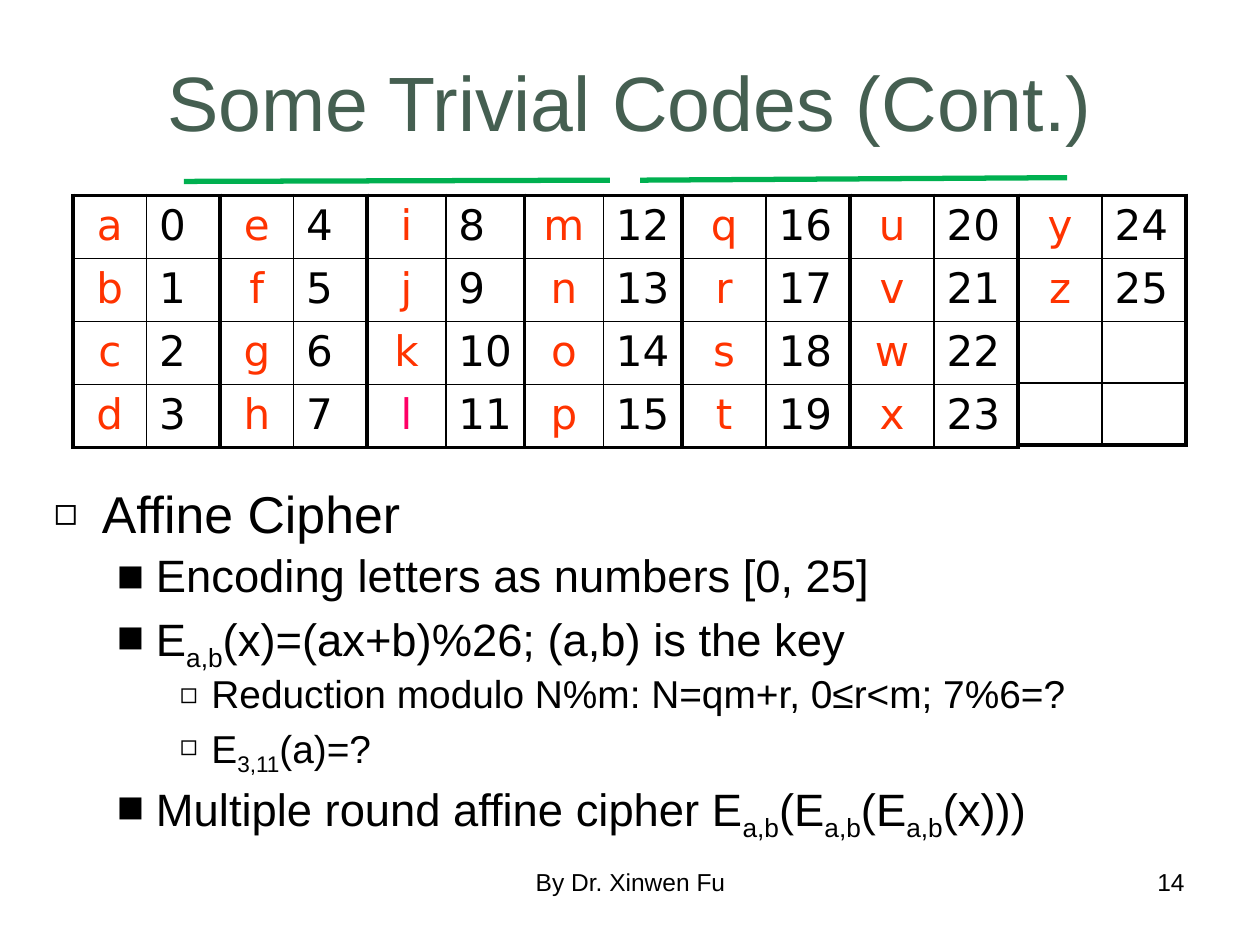
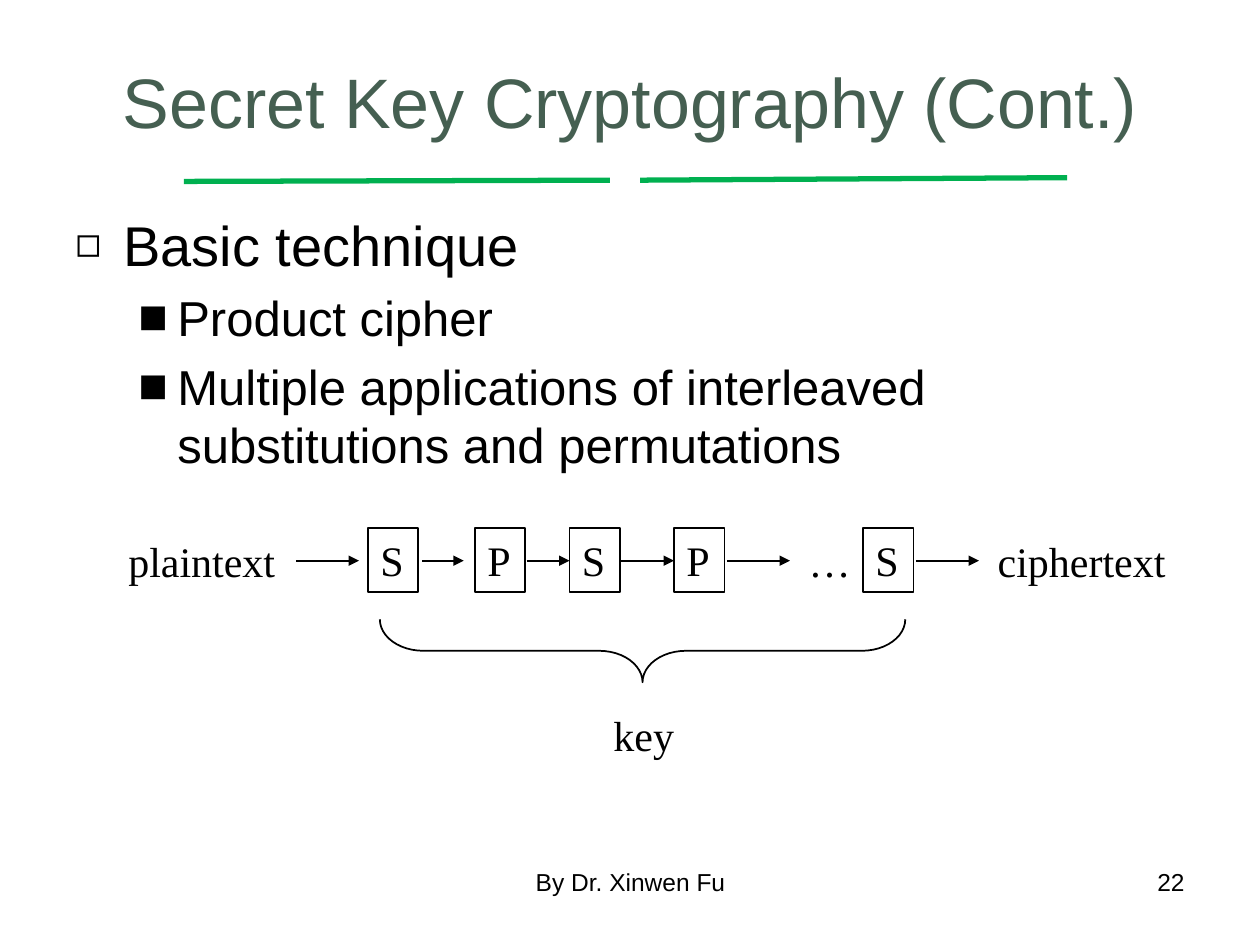
from lxml import etree
from pptx import Presentation
from pptx.dml.color import RGBColor
from pptx.enum.shapes import MSO_CONNECTOR, MSO_SHAPE
from pptx.enum.text import MSO_ANCHOR, PP_ALIGN
from pptx.oxml.ns import qn
from pptx.util import Inches, Pt

LEFT, CENTER, RIGHT = PP_ALIGN.LEFT, PP_ALIGN.CENTER, PP_ALIGN.RIGHT
TOP, MIDDLE = MSO_ANCHOR.TOP, MSO_ANCHOR.MIDDLE
STRAIGHT = MSO_CONNECTOR.STRAIGHT
RECTANGLE, BRACE = MSO_SHAPE.RECTANGLE, MSO_SHAPE.LEFT_BRACE

WIDTH, HEIGHT = 10, 7.5
BLACK, GREEN, SLATE, ORANGE, PINK = "000000", "00B050", "455F51", "FF3300", "FF0066"
SANS, SERIF, CODE = "Arial", "Times New Roman", "DejaVu Sans"

AUTHOR = "By Dr. Xinwen Fu"
TITLE_AREA = (0.5, 0.21, 9, 1.18)
FOOTER_AREA = (3.42, 6.83, 3.17, 0.52)
NUMBER_AREA = (7.17, 6.83, 2.33, 0.52)
TITLE_RULES = [(1.46, 1.44, 4.84, 1.43), (5.08, 1.43, 8.47, 1.41)]
LEVELS = [
    {"indent": 0.38, "hang": 0.38, "mark": "◻", "mark_size": 75},
    {"indent": 0.81, "hang": 0.31, "mark": "■", "mark_size": 100},
    {"indent": 1.25, "hang": 0.25, "mark": "◻", "mark_size": 75},
]

CODES = {
    "title": "Some Trivial Codes (Cont.)", "title_size": 44, "number": 14,
    "area": (0.33, 3.83, 9, 2.83), "sizes": (29.6, 25.9, 22.2), "spacing": 0.9,
    "points": [
        (0, "Affine Cipher"),
        (1, "Encoding letters as numbers [0, 25]"),
        (1, "E|a,b|(x)=(ax+b)%26; (a,b) is the key"),
        (2, "Reduction modulo N%m: N=qm+r, 0≤r<m; 7%6=?"),
        (2, "E|3,11|(a)=?"),
        (1, "Multiple round affine cipher E|a,b|(E|a,b|(E|a,b|(x)))"),
    ],
}
ALPHABET = "abcdefghijklmnopqrstuvwxyz"
LETTER_COLOURS = {"l": PINK}
LETTER_ROWS, ROW_HEIGHT = 4, 0.49
LETTERS_LEFT, LETTERS_TOP = 0.58, 1.55
BLOCK_WIDTHS = [w / 12 for w in (14, 14, 15, 15, 16, 16, 16)]

SECRET_KEY = {
    "title": "Secret Key Cryptography (Cont.)", "title_size": 40, "number": 22,
    "area": (0.5, 1.62, 9, 5.08), "sizes": (32, 28, 24), "spacing": 1.0,
    "points": [
        (0, "Basic technique"),
        (1, "Product cipher"),
        (1, "Multiple applications of interleaved substitutions and permutations"),
    ],
}
STAGES = [("S", 2.92), ("P", 3.77), ("S", 4.52), ("P", 5.35), ("S", 6.85)]
STAGE_TOP, STAGE_WIDTH, STAGE_HEIGHT = 4.19, 0.4, 0.51
LABELS = [
    ("plaintext", 0.92, 4.2, 1.37), ("…", 6.32, 4.2, 0.53),
    ("ciphertext", 7.82, 4.2, 1.53), ("key", 4.77, 5.58, 0.68),
]
FLOW_Y = 4.45
FLOWS = [(2.35, 2.85), (3.35, 3.68), (4.18, 4.52), (4.93, 5.35), (5.77, 6.27), (7.27, 7.77)]
BRACE_AREA = (4.85, 3.08, 0.5, 4.17)


def colour(value):
    return RGBColor.from_string(value)


def inches(lengths):
    return [Inches(n) for n in lengths]


def child(parent, tag, **attributes):
    return etree.SubElement(parent, qn(tag), attributes)


def write(paragraph, text, size, font=SANS, ink=BLACK, align=LEFT):
    paragraph.alignment = align
    for i, piece in enumerate(text.split("|")):
        run = paragraph.add_run()
        run.text = piece
        for key, value in {"size": Pt(size), "name": font}.items():
            setattr(run.font, key, value)
        run.font.color.rgb = colour(ink)
        if i % 2:
            run.font._element.set("baseline", "-25000")


def text_area(slide, area, anchor=TOP, wrap=True):
    frame = slide.shapes.add_textbox(*inches(area)).text_frame
    frame.word_wrap, frame.vertical_anchor = wrap, anchor
    return frame


def rule(slide, ends, ink, weight, arrow=False):
    connector = slide.shapes.add_connector(STRAIGHT, *inches(ends))
    connector.line.color.rgb = colour(ink)
    connector.line.width = Pt(weight)
    if arrow:
        child(connector.line._get_or_add_ln(), "a:tailEnd", type="triangle")
    child(connector._element.spPr, "a:effectLst")


def outline(slide, kind, area):
    shape = slide.shapes.add_shape(kind, *inches(area))
    shape.shadow.inherit = False
    shape.fill.background()
    shape.line.color.rgb = colour(BLACK)
    shape.line.width = Pt(1)
    return shape


def add_points(slide, content):
    frame = text_area(slide, content["area"])
    for i, (level, text) in enumerate(content["points"]):
        paragraph = frame.add_paragraph() if i else frame.paragraphs[0]
        style, size = LEVELS[level], content["sizes"][level]
        write(paragraph, text, size)
        layout = {"level": level, "line_spacing": content["spacing"], "space_before": Pt(size * 0.2)}
        for key, value in layout.items():
            setattr(paragraph, key, value)
        properties = paragraph._p.get_or_add_pPr()
        properties.set("marL", str(Inches(style["indent"])))
        properties.set("indent", str(-Inches(style["hang"])))
        child(properties, "a:buSzPct", val=str(style["mark_size"] * 1000))
        child(properties, "a:buFont", typeface=SANS)
        child(properties, "a:buChar", char=style["mark"])


def start_slide(deck, content):
    slide = deck.slides.add_slide(deck.slide_layouts[6])
    for ends in TITLE_RULES:
        rule(slide, ends, GREEN, 3)
    title = text_area(slide, TITLE_AREA, MIDDLE)
    write(title.paragraphs[0], content["title"], content["title_size"], ink=SLATE, align=CENTER)
    add_points(slide, content)
    for area, text, align in ((FOOTER_AREA, AUTHOR, CENTER), (NUMBER_AREA, str(content["number"]), RIGHT)):
        write(text_area(slide, area).paragraphs[0], text, 14, align=align)
    return slide


def border(cell, weights):
    properties = cell._tc.get_or_add_tcPr()
    for side, weight in weights.items():
        edge = child(properties, f"a:ln{side}", w=str(Pt(weight)))
        child(child(edge, "a:solidFill"), "a:srgbClr", val=BLACK)


def add_letter_block(slide, block, left, width):
    area = inches((left, LETTERS_TOP, width, ROW_HEIGHT * LETTER_ROWS))
    table = slide.shapes.add_table(LETTER_ROWS, 2, *area).table
    table.first_row = table.horz_banding = False
    for column in table.columns:
        column.width = Inches(width / 2)
    for row in range(LETTER_ROWS):
        table.rows[row].height = Inches(ROW_HEIGHT)
        code = block * LETTER_ROWS + row
        for col in range(2):
            cell = table.cell(row, col)
            outer = {"L": col == 0, "R": col == 1, "T": row == 0, "B": row == LETTER_ROWS - 1}
            border(cell, {side: 2.25 if edge else 1 for side, edge in outer.items()})
            cell.fill.background()
            if code < len(ALPHABET):
                letter = ALPHABET[code]
                text, ink, align = (
                    (str(code), BLACK, LEFT) if col
                    else (letter, LETTER_COLOURS.get(letter, ORANGE), CENTER)
                )
                write(cell.text_frame.paragraphs[0], text, 24, CODE, ink, align)


def build_codes(deck):
    slide = start_slide(deck, CODES)
    for block, width in enumerate(BLOCK_WIDTHS):
        add_letter_block(slide, block, LETTERS_LEFT + sum(BLOCK_WIDTHS[:block]), width)


def build_secret_key(deck):
    slide = start_slide(deck, SECRET_KEY)
    for stage, left in STAGES:
        frame = outline(slide, RECTANGLE, (left, STAGE_TOP, STAGE_WIDTH, STAGE_HEIGHT)).text_frame
        frame.word_wrap, frame.vertical_anchor = False, TOP
        write(frame.paragraphs[0], stage, 24, SERIF)
    for label, left, top, width in LABELS:
        frame = text_area(slide, (left, top, width, 0.5), wrap=False)
        write(frame.paragraphs[0], label, 24, SERIF)
    for begin, end in FLOWS:
        rule(slide, (begin, FLOW_Y, end, FLOW_Y), BLACK, 1, arrow=True)
    brace = outline(slide, BRACE, BRACE_AREA)
    brace.rotation = 270
    brace.adjustments[0], brace.adjustments[1] = 0.69, 0.5


def main():
    deck = Presentation()
    deck.slide_width, deck.slide_height = inches((WIDTH, HEIGHT))
    build_codes(deck)
    build_secret_key(deck)
    deck.save("out.pptx")


if __name__ == "__main__":
    main()
